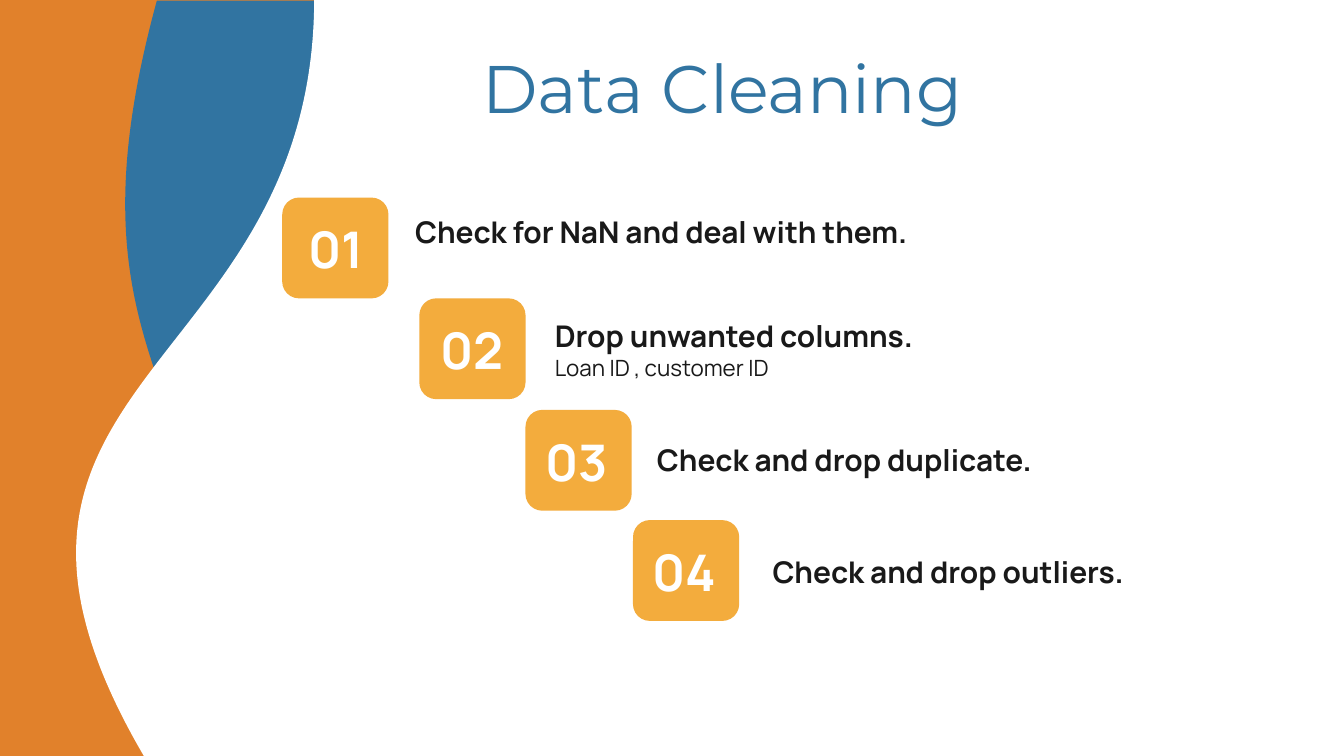
from pptx import Presentation
from pptx.dml.color import RGBColor
from pptx.enum.shapes import MSO_SHAPE
from pptx.enum.text import MSO_ANCHOR, PP_ALIGN
from pptx.util import Inches, Pt

# Widescreen, 16 to 9
deck = Presentation()
deck.slide_width = Inches(10)
deck.slide_height = Inches(10 * 9 / 16)
slide = deck.slides.add_slide(deck.slide_layouts[6])


def paint(fill, color):
    fill.solid()
    fill.fore_color.rgb = RGBColor.from_string(color)


def write(lines, x, y, w, h, size=16, font="Manrope", color="191919",
          bold=True, align=PP_ALIGN.LEFT, sub=12):
    """Add a text box; lines after the first are plain, at size sub."""
    frame = slide.shapes.add_textbox(
        Inches(x), Inches(y), Inches(w), Inches(h)).text_frame
    frame.word_wrap = True
    frame.vertical_anchor = MSO_ANCHOR.MIDDLE
    frame.margin_left = frame.margin_right = Inches(0.1)
    frame.margin_top = frame.margin_bottom = Inches(0.1)
    for i, line in enumerate(lines):
        para = frame.paragraphs[0] if i == 0 else frame.add_paragraph()
        para.alignment = align
        run = para.add_run()
        run.text = line
        run.font.name = font
        run.font.size = Pt(sub if i else size)
        run.font.bold = bold and i == 0
        paint(run.font.fill, color)


# Background and waves
paint(slide.background.fill, "E1812B")
waves = [
    (0.27, 0.61, 5.62, 4.41, "3174A1", False),
    (2.4, -1.97, 5.65, 9.56, "FFFFFF", True),
]
for x, y, w, h, color, flip in waves:
    wave = slide.shapes.add_shape(
        MSO_SHAPE.FLOWCHART_DOCUMENT, Inches(x), Inches(y), Inches(w), Inches(h))
    wave.rotation = 90
    wave.shadow.inherit = False
    wave.line.fill.background()
    paint(wave.fill, color)
    if flip:
        wave._element.spPr.xfrm.set("flipH", "1")

# Title
write(["Data Cleaning"], 1.16, 0.38, 8.43, 0.53, size=36, font="Montserrat",
      color="3174A1", bold=False, align=PP_ALIGN.CENTER)

# Steps: tile left and top, number left, text left, top and width, lines
steps = [
    (2.1, 1.47, 2.09, 2.99, 1.43, 4.19, ["Check for NaN and deal with them."]),
    (3.12, 2.22, 3.1, 4.03, 2.31, 3.64,
     ["Drop unwanted columns.", "Loan ID , customer ID"]),
    (3.91, 3.05, 3.88, 4.79, 3.13, 3.33, ["Check and drop duplicate."]),
    (4.71, 3.87, 4.68, 5.65, 3.96, 4.7, ["Check and drop outliers."]),
]
for n, (x, y, num, left, top, wide, lines) in enumerate(steps, 1):
    tile = slide.shapes.add_shape(
        MSO_SHAPE.ROUNDED_RECTANGLE, Inches(x), Inches(y), Inches(0.79), Inches(0.75))
    tile.shadow.inherit = False
    tile.line.fill.background()
    paint(tile.fill, "F3AC3D")
    write([f"{n:02}"], num, y + 0.09, 0.82, 0.58, size=27, color="FFFFFF",
          align=PP_ALIGN.CENTER)
    write(lines, left, top, wide, 0.58)

deck.save("out.pptx")
